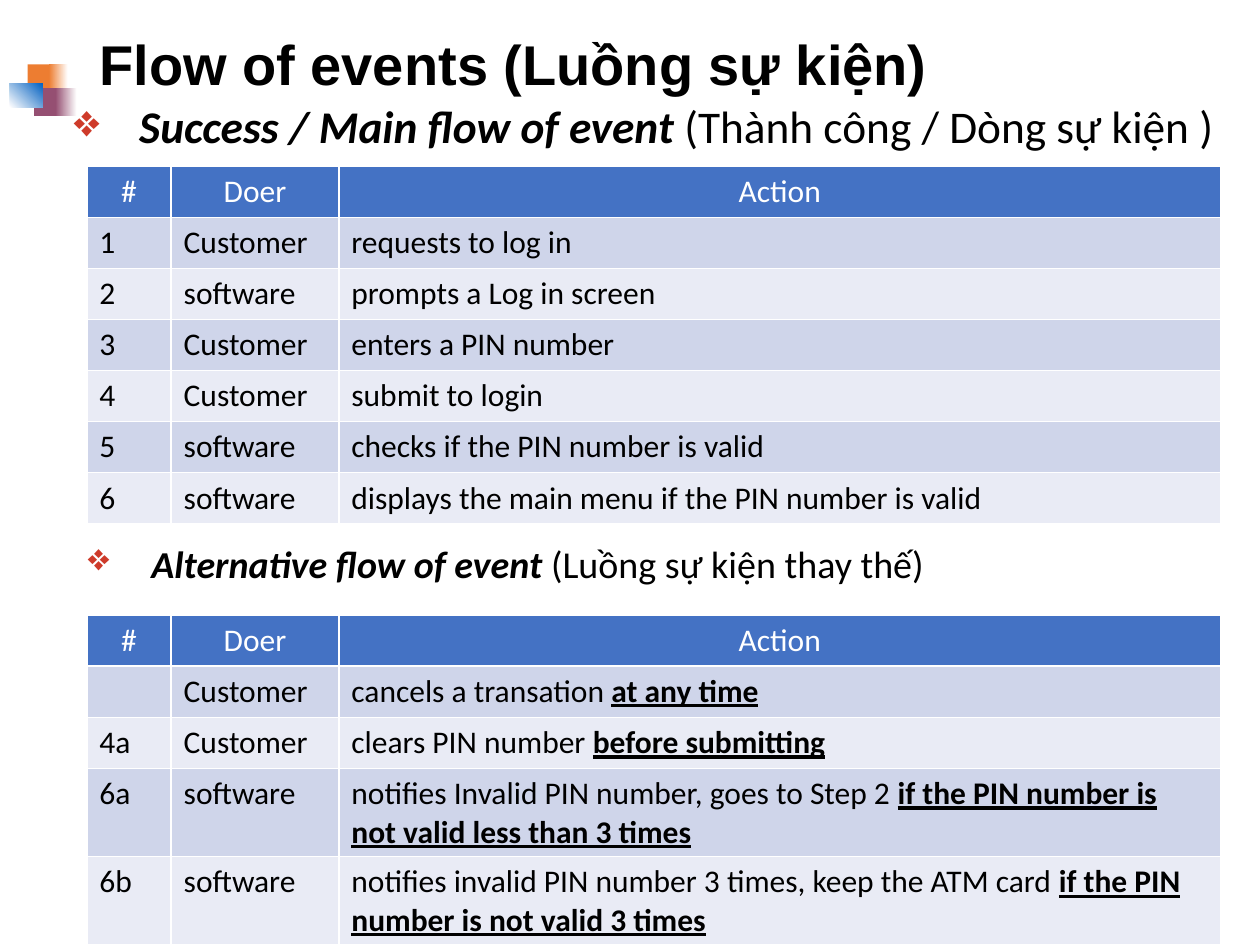
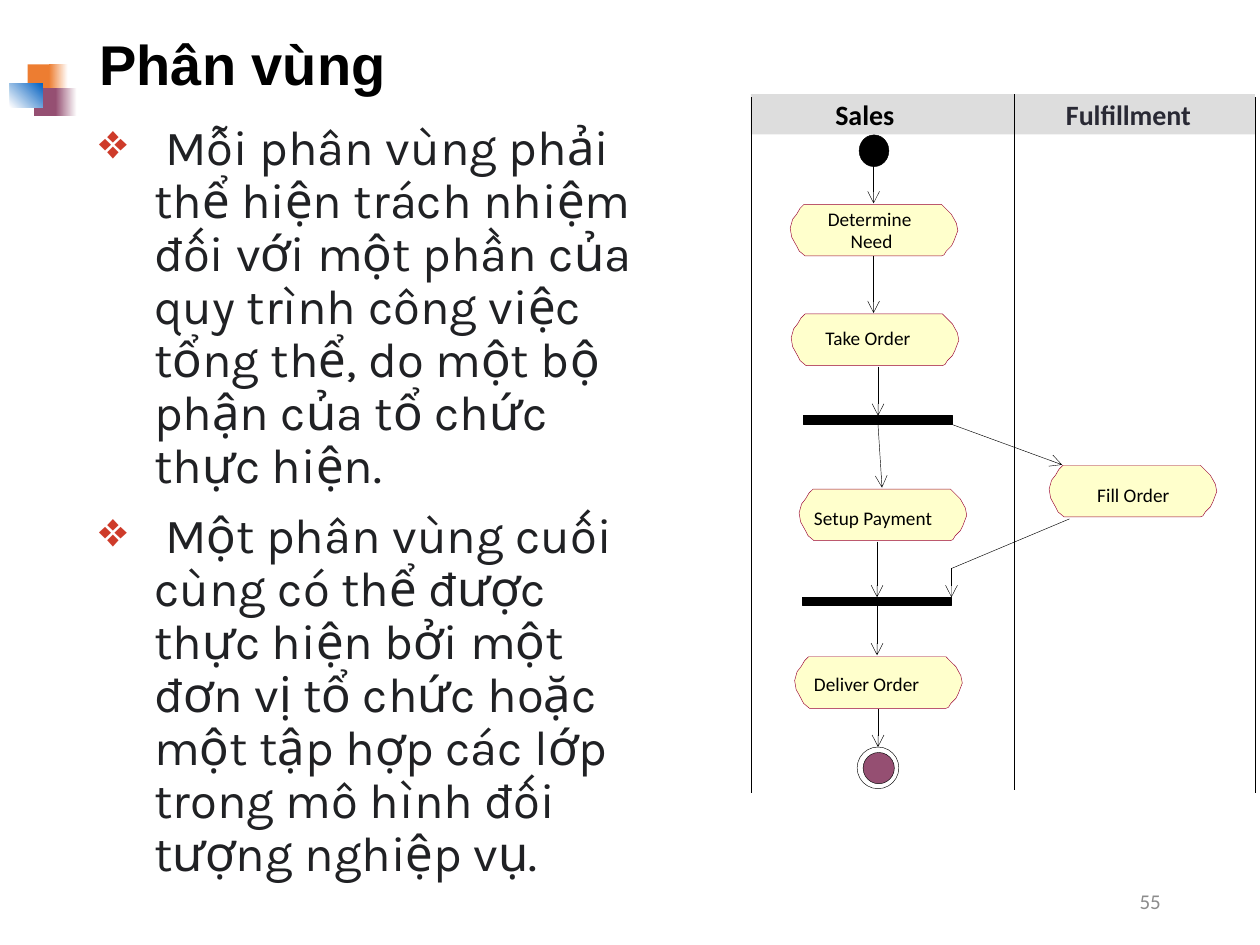
import pptx
import pptx.dml.color
import pptx.enum.shapes
import pptx.enum.text
import pptx.oxml
import pptx.oxml.ns
import pptx.util
from pptx.util import Cm

SHAPE = pptx.enum.shapes.MSO_SHAPE
ALIGN = pptx.enum.text.PP_ALIGN
ANCHOR = pptx.enum.text.MSO_ANCHOR
STRAIGHT = pptx.enum.shapes.MSO_CONNECTOR.STRAIGHT
NAMESPACE = pptx.oxml.ns.nsdecls("a")
HAIRLINE = pptx.util.Pt(0.25)

BLACK, WHITE, GREY, BULLET = "000000", "FFFFFF", "8C8C8C", "CE3B2A"
ORANGE, PURPLE, BLUE = "ED7D31", "954F72", "0563C1"
HEADER, BANDS = "4472C4", ("CFD5EA", "E9EBF5")
LANE, ACTIVITY, ACTIVITY_LINE = "DDDDDD", "FFFFCC", "990033"


def color(hex_value):
    return pptx.dml.color.RGBColor.from_string(hex_value)


def add_run(paragraph, text, size, hex_value=BLACK, **values):
    run = paragraph.add_run()
    run.text = text
    run.font.color.rgb = color(hex_value)
    font_values = {"name": "Calibri", "size": pptx.util.Pt(size), "bold": False, **values}
    for name, value in font_values.items():
        setattr(run.font, name, value)


presentation = pptx.Presentation()
presentation.slide_width = Cm(25.4)
presentation.slide_height = Cm(19.05)

# Shared title and corner squares: left, top, width, height, colours, angle
corner_squares = [
    (0.56, 1.3, 0.51, 0.56, [ORANGE], 0),
    (0.99, 1.3, 0.38, 0.56, [ORANGE, WHITE], 0),
    (0.69, 1.78, 0.48, 0.56, [PURPLE], 0),
    (1.12, 1.78, 0.43, 0.56, [PURPLE, WHITE], 0),
    (0.2, 1.68, 0.66, 0.48, [WHITE, BLUE], 45),
]
title_box = {"left": Cm(1.75), "top": Cm(0.33), "width": Cm(21.9), "height": Cm(2.06)}
slides = []
for title_text in ("Flow of events (Luồng sự kiện)", "Phân vùng"):
    slide = presentation.slides.add_slide(presentation.slide_layouts[5])
    slides.append(slide)
    title = slide.shapes.title
    for name, value in title_box.items():
        setattr(title, name, value)
    title.text_frame.vertical_anchor = ANCHOR.MIDDLE
    title.text_frame.auto_size = pptx.enum.text.MSO_AUTO_SIZE.NONE
    paragraph = title.text_frame.paragraphs[0]
    paragraph.alignment = ALIGN.LEFT
    paragraph.line_spacing = 0.9
    add_run(paragraph, title_text, 32, name="Arial", bold=True)
    for left, top, width, height, colors, angle in corner_squares:
        square = slide.shapes.add_shape(SHAPE.RECTANGLE, Cm(left), Cm(top), Cm(width), Cm(height))
        square.shadow.inherit = False
        square.line.fill.background()
        if len(colors) == 1:
            square.fill.solid()
            square.fill.fore_color.rgb = color(colors[0])
        else:
            square.fill.gradient()
            square.fill.gradient_angle = angle
            for stop, hex_value in zip(square.fill.gradient_stops, colors):
                stop.color.rgb = color(hex_value)
events_slide, partition_slide = slides

# Bulleted texts: slide, box, size, line spacing, paragraphs of (text, format)
strong = {"bold": True, "italic": True}
karla = {"name": "Karla", "hex_value": "202124"}
bulleted_texts = [
    (events_slide, (1.24, 1.98, 23.88, 2.06), 25.9, 0.9,
     [[("Success / Main flow of event ", strong), ("(Thành công / Dòng sự kiện )", {})]]),
    (events_slide, (1.52, 11.02, 23.88, 0.94), 21.7, 0.7,
     [[("Alternative flow of event ", strong), ("(Luồng sự kiện thay thế)", {})]]),
    (partition_slide, (1.75, 2.36, 11.58, 14.38), 28, 0.9,
     [[("Mỗi phân vùng phải thể hiện trách nhiệm đối với một phần của quy trình công việc "
        "tổng thể, do một bộ phận của tổ chức thực hiện.", karla)],
      [("Một phân vùng cuối cùng có thể được thực hiện bởi một đơn vị tổ chức hoặc một tập "
        "hợp các lớp trong mô hình đối tượng nghiệp vụ.", karla)]]),
]
for slide, box, size, spacing, paragraphs in bulleted_texts:
    frame = slide.shapes.add_textbox(*map(Cm, box)).text_frame
    frame.word_wrap = True
    for index, runs in enumerate(paragraphs):
        paragraph = frame.add_paragraph() if index else frame.paragraphs[0]
        paragraph.line_spacing = spacing
        paragraph.space_before = pptx.util.Pt(10)
        properties = paragraph._p.get_or_add_pPr()
        properties.set("marL", str(Cm(1.11)))
        properties.set("indent", str(Cm(-1.11)))
        for xml in (f'<a:buClr {NAMESPACE}><a:srgbClr val="{BULLET}"/></a:buClr>',
                    f'<a:buChar {NAMESPACE} char="❖"/>'):
            properties.append(pptx.oxml.parse_xml(xml))
        add_run(paragraph, " ", size)
        for text, values in runs:
            add_run(paragraph, text, size, **values)

# Event tables: top and rows of number, doer, action, condition
event_tables = [
    (3.35, [
        ("1", "Customer", "requests to log in", ""),
        ("2", "software", "prompts a Log in screen", ""),
        ("3", "Customer", "enters a PIN number", ""),
        ("4", "Customer", "submit to login", ""),
        ("5", "software", "checks if the PIN number is valid", ""),
        ("6", "software", "displays the main menu if the PIN number is valid", ""),
    ]),
    (12.4, [
        ("", "Customer", "cancels a transation ", "at any time"),
        ("4a", "Customer", "clears PIN number ", "before submitting"),
        ("6a", "software", "notifies Invalid PIN number, goes to Step 2 ",
         "if the PIN number is not valid less than 3 times"),
        ("6b", "software", "notifies invalid PIN number 3 times, keep the ATM card ",
         "if the PIN number is not valid 3 times"),
    ]),
]
row_height = 1.03
for top, events in event_tables:
    rows = [("#", "Doer", "Action", "")] + events
    table = events_slide.shapes.add_table(
        len(rows), 3, Cm(1.75), Cm(top), Cm(22.86), Cm(row_height * len(rows))).table
    for column, width in zip(table.columns, (1.7, 3.38, 17.78)):
        column.width = Cm(width)
    for row_index, (*texts, condition) in enumerate(rows):
        table.rows[row_index].height = Cm(row_height)
        for column_index, text in enumerate(texts):
            cell = table.cell(row_index, column_index)
            cell.fill.solid()
            cell.fill.fore_color.rgb = color(BANDS[(row_index - 1) % 2] if row_index else HEADER)
            paragraph = cell.text_frame.paragraphs[0]
            if row_index == 0:
                paragraph.alignment = ALIGN.CENTER
            add_run(paragraph, text, 18, BLACK if row_index else WHITE)
            if condition and column_index == 2:
                add_run(paragraph, condition, 18, bold=True, underline=True)

# Slide number
number_box = partition_slide.shapes.add_textbox(Cm(17.93), Cm(17.65), Cm(5.72), Cm(1.02))
number_box.text_frame.vertical_anchor = ANCHOR.MIDDLE
number_box.text_frame.word_wrap = True
paragraph = number_box.text_frame.paragraphs[0]
paragraph.alignment = ALIGN.RIGHT
add_run(paragraph, "55", 12, GREY)

# Swimlane headers, bars and start and end nodes: kind, box, fill, line
shapes = partition_slide.shapes
diagram_shapes = {
    "sales": (SHAPE.RECTANGLE, (15.14, 1.9, 5.3, 0.81), LANE, None),
    "fulfillment": (SHAPE.RECTANGLE, (20.44, 1.9, 4.86, 0.81), LANE, None),
    "start": (SHAPE.OVAL, (17.32, 2.72, 0.6, 0.64), BLACK, BLACK),
    "fork": (SHAPE.RECTANGLE, (16.2, 8.38, 3, 0.18), BLACK, BLACK),
    "join": (SHAPE.RECTANGLE, (16.18, 12.04, 3, 0.16), BLACK, BLACK),
    "end": (SHAPE.OVAL, (17.28, 15.06, 0.84, 0.84), None, BLACK),
    "end core": (SHAPE.OVAL, (17.4, 15.17, 0.63, 0.63), PURPLE, BLACK),
}
nodes = {}
for name, (kind, box, fill, line) in diagram_shapes.items():
    nodes[name] = shapes.add_shape(kind, *map(Cm, box))

# Activities share one outline
outline = [
    (0.3, 0), (0.28, 0), (0.2, 0.08), (0.13, 0.2), (0.05, 0.3), (0, 0.48), (0.03, 0.66),
    (0.13, 0.84), (0.18, 0.94), (0.3, 1.04), (3.05, 1.04), (3.1, 1.02), (3.15, 0.94),
    (3.25, 0.84), (3.3, 0.74), (3.38, 0.53), (3.35, 0.38), (3.25, 0.2), (3.15, 0.1), (3.05, 0),
]
activities = {
    "determine need": (15.93, 4.12),
    "take order": (15.95, 6.33),
    "setup payment": (16.11, 9.86),
    "deliver order": (16.02, 13.24),
    "fill order": (21.15, 9.38),
}
for name, (left, top) in activities.items():
    points = [(Cm(left + x), Cm(top + y)) for x, y in outline]
    builder = shapes.build_freeform(*points[0])
    builder.add_line_segments(points[1:], close=True)
    nodes[name] = builder.convert_to_shape()

for name, node in nodes.items():
    fill, line = diagram_shapes[name][2:] if name in diagram_shapes else (ACTIVITY, ACTIVITY_LINE)
    node.shadow.inherit = False
    for target, hex_value in ((node.fill, fill), (node.line.fill, line)):
        if hex_value:
            target.solid()
            target.fore_color.rgb = color(hex_value)
        else:
            target.background()
    if line:
        node.line.width = HAIRLINE

# Labels: text, left, top, size, format
labels = [
    ("Sales", 16.84, 1.96, 16, {"bold": True}),
    ("Fulfillment", 21.49, 1.96, 16, {"bold": True, "hex_value": "292934"}),
    ("Determine", 16.69, 4.17, 11, {}),
    ("Need", 17.15, 4.62, 11, {}),
    ("Take Order", 16.64, 6.58, 11, {}),
    ("Setup Payment", 16.41, 10.21, 11, {}),
    ("Deliver Order", 16.41, 13.56, 11, {}),
    ("Fill Order", 22.12, 9.75, 11, {}),
]
for text, left, top, size, values in labels:
    frame = shapes.add_textbox(Cm(left), Cm(top), Cm(3.2), Cm(0.5)).text_frame
    frame.word_wrap = True
    for side in ("left", "top", "right", "bottom"):
        setattr(frame, f"margin_{side}", 0)
    add_run(frame.paragraphs[0], text, size, **values)

# Lane borders and flows: ends, arrowhead, joined begin, joined end
flows = [
    ((15.14, 1.96, 15.14, 15.98), False, None, None),
    ((20.45, 1.9, 20.45, 15.93), False, None, None),
    ((25.3, 1.96, 25.3, 15.98), False, None, None),
    ((17.61, 3.35, 17.61, 4.1), True, None, None),
    ((17.61, 5.16, 17.61, 6.31), True, None, None),
    ((17.7, 7.39, 17.7, 8.38), True, None, "fork"),
    ((17.7, 8.56, 17.78, 9.83), True, "fork", None),
    ((19.2, 8.56, 21.41, 9.37), True, None, None),
    ((17.68, 10.92, 17.68, 12.04), True, None, "join"),
    ((21.56, 10.46, 19.18, 11.46), False, None, None),
    ((19.18, 11.46, 19.18, 12.04), True, None, None),
    ((17.68, 12.2, 17.68, 13.21), True, "join", None),
    ((17.7, 14.3, 17.7, 15.06), True, None, "end"),
]
for ends, has_arrow, begin, end in flows:
    connector = shapes.add_connector(STRAIGHT, *map(Cm, ends))
    connector.line.color.rgb = color(BLACK)
    connector.line.width = HAIRLINE
    if has_arrow:
        connector.line._get_or_add_ln().append(pptx.oxml.parse_xml(
            f'<a:tailEnd {NAMESPACE} type="arrow" w="med" len="med"/>'))
    connector._element.spPr.append(pptx.oxml.parse_xml(f"<a:effectLst {NAMESPACE}/>"))
    if begin:
        connector.begin_connect(nodes[begin], 2)
    if end:
        connector.end_connect(nodes[end], 0)

presentation.save("out.pptx")
